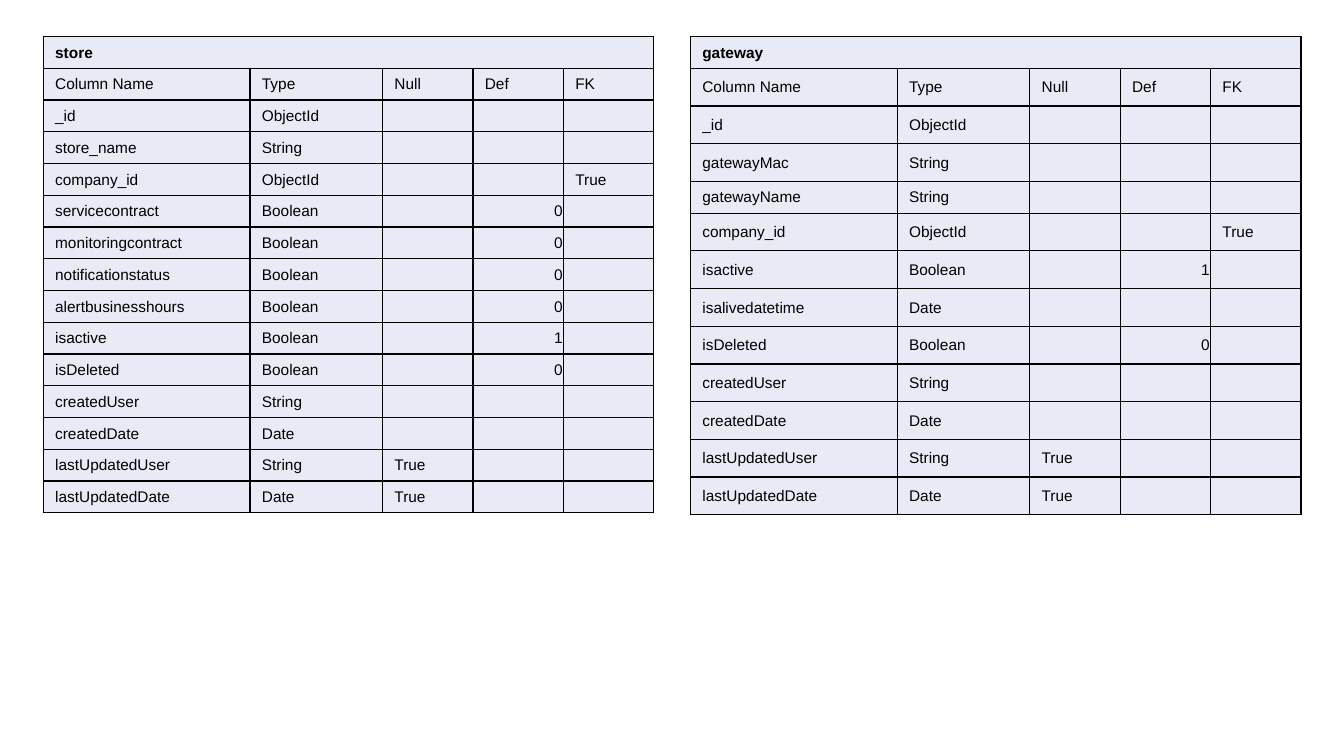
from dataclasses import dataclass

from lxml import etree
from pptx import Presentation
from pptx import util as u
from pptx.dml.color import RGBColor
from pptx.enum import text
from pptx.oxml.ns import qn

COLOURS = {"ink": "000000", "cell": "E8EBF5"}
FONT, FONT_SIZE = "Arial", 11
COLUMN_WIDTHS = (5.21, 3.34, 2.28, 2.28, 2.28)
HEADINGS = ("Column Name", "Type", "Null", "Def", "FK")
TOP = 0.92
LOW_ROW, TALL_ROW = 0.8, 0.95


@dataclass
class Field:
    name: str
    type: str
    null: str = ""
    default: str = ""
    foreign_key: str = ""

    def values(self) -> tuple[str, ...]:
        return self.name, self.type, self.null, self.default, self.foreign_key


@dataclass
class Schema:
    name: str
    left: float
    row_heights: list[float]
    fields: list[Field]


AUDIT_FIELDS = [
    Field("createdUser", "String"),
    Field("createdDate", "Date"),
    Field("lastUpdatedUser", "String", null="True"),
    Field("lastUpdatedDate", "Date", null="True"),
]
ID = Field("_id", "ObjectId")
COMPANY = Field("company_id", "ObjectId", foreign_key="True")
ACTIVE = Field("isactive", "Boolean", default="1")
DELETED = Field("isDeleted", "Boolean", default="0")
STORE_FLAGS = [
    Field(flag, "Boolean", default="0")
    for flag in ("servicecontract", "monitoringcontract",
                 "notificationstatus", "alertbusinesshours")
]

SCHEMAS = [
    Schema("store", 1.09, [LOW_ROW] * 15,
           [ID, Field("store_name", "String"), COMPANY, *STORE_FLAGS,
            ACTIVE, DELETED, *AUDIT_FIELDS]),
    Schema("gateway", 17.4,
           [LOW_ROW] + [TALL_ROW] * 3 + [LOW_ROW] + [TALL_ROW] * 8,
           [ID, Field("gatewayMac", "String"), Field("gatewayName", "String"),
            COMPANY, ACTIVE, Field("isalivedatetime", "Date"), DELETED,
            *AUDIT_FIELDS]),
]


def write(cell, words: str, *, bold: bool = False,
          align=text.PP_ALIGN.LEFT) -> None:
    """Empty cells only get a text size, so that they do not stretch the row."""
    paragraph = cell.text_frame.paragraphs[0]
    if not words:
        etree.SubElement(paragraph._p, qn("a:endParaRPr"),
                         sz=str(FONT_SIZE * 100))
        return
    paragraph.alignment = align
    run = paragraph.add_run()
    run.text = words
    run.font.name = FONT
    run.font.size = u.Pt(FONT_SIZE)
    run.font.bold = bold
    run.font.color.rgb = RGBColor.from_string(COLOURS["ink"])


def style_cell(cell) -> None:
    cell.margin_left = u.Cm(0.3)
    cell.margin_right = cell.margin_top = u.Cm(0.02)
    cell.margin_bottom = 0
    cell.vertical_anchor = text.MSO_ANCHOR.MIDDLE
    cell.fill.solid()
    cell.fill.fore_color.rgb = RGBColor.from_string(COLOURS["cell"])
    properties = cell._tc.get_or_add_tcPr()
    for position, side in enumerate(("lnL", "lnR", "lnT", "lnB")):
        border = etree.Element(qn(f"a:{side}"), w=str(u.Pt(1)))
        fill = etree.SubElement(border, qn("a:solidFill"))
        etree.SubElement(fill, qn("a:srgbClr"), val=COLOURS["ink"])
        properties.insert(position, border)


def draw_schema(slide, schema: Schema) -> None:
    rows = [HEADINGS] + [field.values() for field in schema.fields]
    table = slide.shapes.add_table(
        len(rows) + 1, len(HEADINGS), u.Cm(schema.left), u.Cm(TOP),
        u.Cm(sum(COLUMN_WIDTHS)), u.Cm(sum(schema.row_heights))).table
    table.first_row = table.horz_banding = False
    for column, width in zip(table.columns, COLUMN_WIDTHS):
        column.width = u.Cm(width)
    for row, height in zip(table.rows, schema.row_heights):
        row.height = u.Cm(height)
    for cell in table.iter_cells():
        style_cell(cell)

    table.cell(0, 0).merge(table.cell(0, len(HEADINGS) - 1))
    write(table.cell(0, 0), schema.name, bold=True)
    for row_number, values in enumerate(rows, start=1):
        for column_number, value in enumerate(values):
            align = text.PP_ALIGN.RIGHT if value.isdigit() else text.PP_ALIGN.LEFT
            write(table.cell(row_number, column_number), value, align=align)


def main() -> None:
    deck = Presentation()
    deck.slide_width, deck.slide_height = u.Cm(33.87), u.Cm(19.05)
    slide = deck.slides.add_slide(deck.slide_layouts.get_by_name("Blank"))
    for schema in SCHEMAS:
        draw_schema(slide, schema)
    deck.save("out.pptx")


if __name__ == "__main__":
    main()
